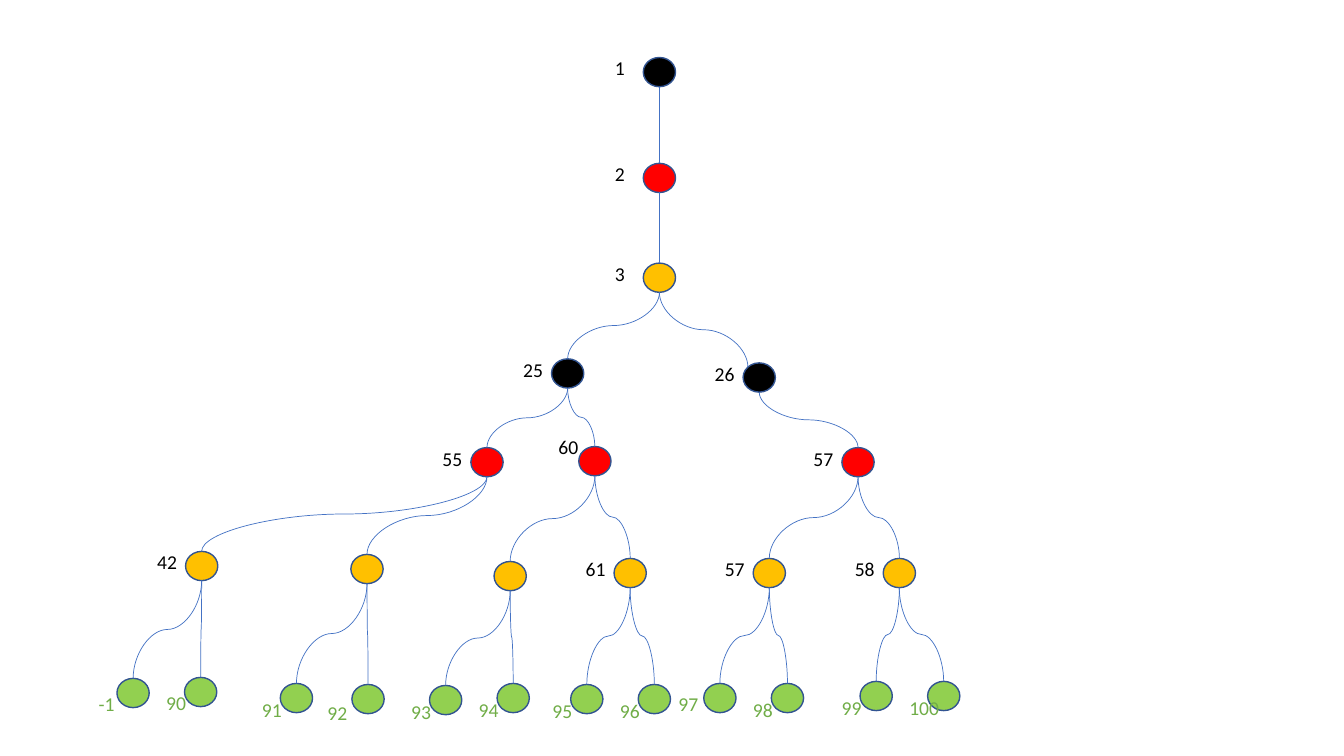
from lxml import etree
from pptx import Presentation
from pptx import util as u
from pptx.dml.color import RGBColor
from pptx.enum import shapes, text
from pptx.oxml.ns import qn

NODE_W, NODE_H = 0.32, 0.29
OUTLINE, EDGE, INK, LEAF_INK = "325491", "4472C4", "000000", "70AD47"
BLACK, RED, AMBER, GREEN = "000000", "FF0000", "FFC000", "92D050"
INNER_OFFSET, LEAF_OFFSET = (-0.38, -0.06), (-0.28, 0.09)
LABEL_WIDTHS = {"-1": 0.36}
LABEL_OFFSETS = {"60": (-0.3, -0.16), "92": (-0.34, 0.11), "97": (-0.35, 0.04)}

# key: (parent, fill, left, top, label)
TREE = {
    "root": (None, BLACK, 6.38, 0.57, "1"),
    "second": ("root", RED, 6.38, 1.62, "2"),
    "third": ("second", AMBER, 6.38, 2.61, "3"),
    "left": ("third", BLACK, 5.47, 3.56, "25"),
    "right": ("third", BLACK, 7.37, 3.6, "26"),
    "red55": ("left", RED, 4.67, 4.44, "55"),
    "red60": ("left", RED, 5.74, 4.43, "60"),
    "red57": ("right", RED, 8.35, 4.44, "57"),
    "amber42": ("red55", AMBER, 1.84, 5.47, "42"),
    "amber_a": ("red55", AMBER, 3.48, 5.5, ""),
    "amber_b": ("red60", AMBER, 4.9, 5.57, ""),
    "amber61": ("red60", AMBER, 6.09, 5.54, "61"),
    "amber57": ("red57", AMBER, 7.47, 5.54, "57"),
    "amber58": ("red57", AMBER, 8.76, 5.54, "58"),
    "leaf1": ("amber42", GREEN, 1.16, 6.73, "-1"),
    "leaf90": ("amber42", GREEN, 1.83, 6.72, "90"),
    "leaf91": ("amber_a", GREEN, 2.78, 6.78, "91"),
    "leaf92": ("amber_a", GREEN, 3.49, 6.79, "92"),
    "leaf93": ("amber_b", GREEN, 4.26, 6.8, "93"),
    "leaf94": ("amber_b", GREEN, 4.93, 6.78, "94"),
    "leaf95": ("amber61", GREEN, 5.66, 6.79, "95"),
    "leaf96": ("amber61", GREEN, 6.33, 6.79, "96"),
    "leaf97": ("amber57", GREEN, 6.98, 6.78, "97"),
    "leaf98": ("amber57", GREEN, 7.65, 6.78, "98"),
    "leaf99": ("amber58", GREEN, 8.53, 6.76, "99"),
    "leaf100": ("amber58", GREEN, 9.2, 6.76, "100"),
}


def rgb(value):
    return RGBColor.from_string(value)


def set_attrs(obj, values):
    for name, value in values.items():
        setattr(obj, name, value)


def add_node(s, left, top, fill):
    sp = s.shapes.add_shape(shapes.MSO_SHAPE.OVAL, u.Inches(left), u.Inches(top),
                            u.Inches(NODE_W), u.Inches(NODE_H))
    sp.shadow.inherit = False
    sp.fill.solid()
    sp.fill.fore_color.rgb = rgb(fill)
    sp.line.color.rgb = rgb(OUTLINE)
    sp.line.width = u.Pt(1)
    return sp


def add_label(s, left, top, label, color):
    width = LABEL_WIDTHS.get(label, 0.2 + 0.1 * len(label))
    sp = s.shapes.add_textbox(u.Inches(left), u.Inches(top),
                              u.Inches(width), u.Inches(0.34))
    tf = sp.text_frame
    set_attrs(tf, {"word_wrap": False,
                   "auto_size": text.MSO_AUTO_SIZE.SHAPE_TO_FIT_TEXT})
    r = tf.paragraphs[0].add_run()
    r.text = label
    set_attrs(r.font, {"name": "Calibri", "size": u.Pt(14)})
    r.font.color.rgb = rgb(color)


def add_edge(s, parent, child, site):
    """Curve from the bottom of parent to the top (0) or top left (1) of child."""
    c = s.shapes.add_connector(shapes.MSO_CONNECTOR.CURVE, 0, 0, 0, 0)
    c.begin_connect(parent, 0)
    c.end_connect(child, 0)
    ends = c._element.nvCxnSpPr.cNvCxnSpPr
    ends.stCxn.idx, ends.endCxn.idx = 4, site

    x1, y1 = parent.left + parent.width // 2, parent.top + parent.height
    x2, y2 = child.left + child.width // 2, child.top
    if site == 1:
        x2 = child.left + int(child.width * 0.15)
        y2 += int(child.height * 0.15)

    # A vertical curve is a horizontal one turned by a quarter
    length, spread = y2 - y1, abs(x2 - x1)
    c._element.spPr.xfrm.attrib.clear()
    set_attrs(c, {"left": (x1 + x2 - length) // 2, "top": (y1 + y2 - spread) // 2,
                  "width": length, "height": spread})
    turn = {"rot": "16200000", "flipH": "1"} if x2 > x1 else {"rot": "5400000"}
    c._element.spPr.xfrm.attrib.update(turn)
    c.line.color.rgb = rgb(EDGE)
    c.line.width = u.Pt(0.5)
    etree.SubElement(c._element.spPr, qn("a:effectLst"))


def main():
    prs = Presentation()
    set_attrs(prs, {"slide_width": u.Inches(13.33), "slide_height": u.Inches(7.5)})
    s = prs.slides.add_slide(prs.slide_layouts[6])

    # Nodes
    nodes = {key: add_node(s, left, top, fill)
             for key, (_, fill, left, top, _) in TREE.items()}

    # Edges and labels
    for key, (parent, fill, left, top, label) in TREE.items():
        if parent:
            add_edge(s, nodes[parent], nodes[key], 1 if key == "right" else 0)
        if label:
            leaf = fill == GREEN
            dx, dy = LABEL_OFFSETS.get(label, LEAF_OFFSET if leaf else INNER_OFFSET)
            add_label(s, left + dx, top + dy, label, LEAF_INK if leaf else INK)

    prs.save("out.pptx")


if __name__ == "__main__":
    main()
